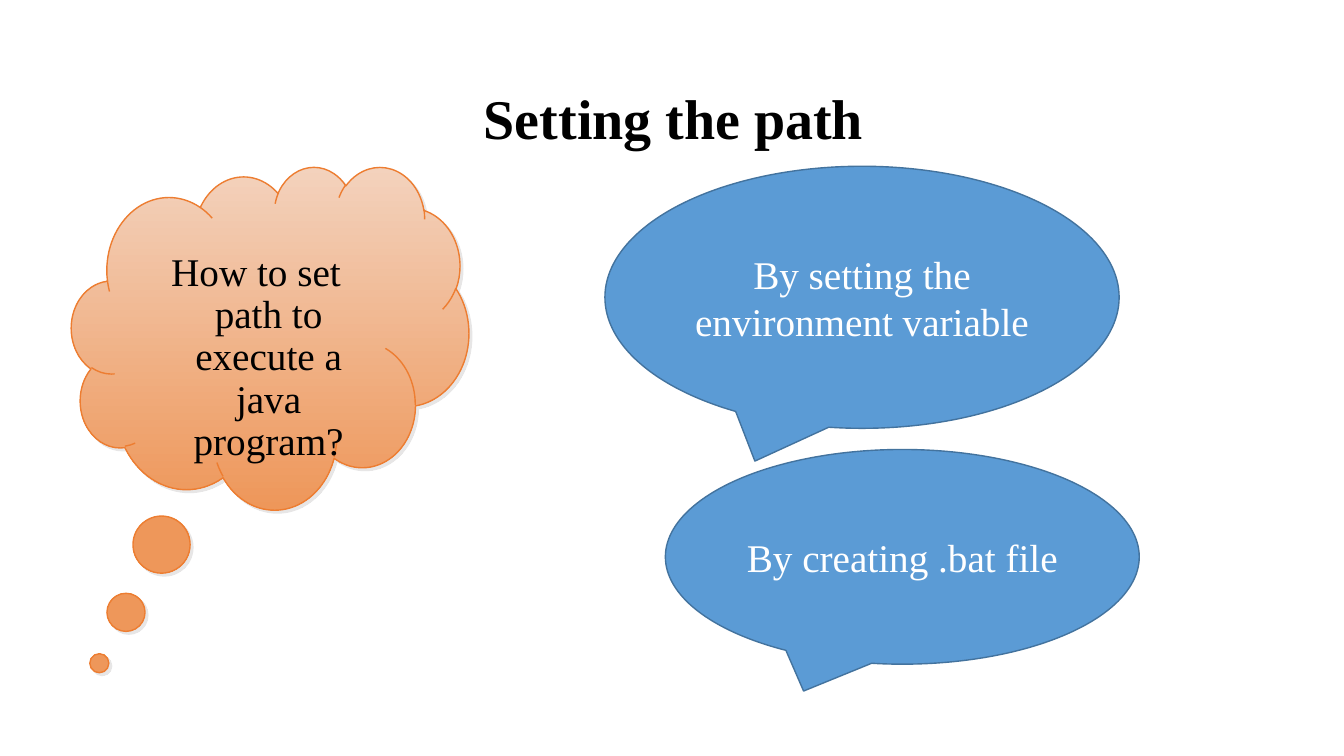
from lxml import etree
from pptx import Presentation
from pptx.dml.color import RGBColor
from pptx.enum.shapes import MSO_SHAPE
from pptx.enum.text import MSO_ANCHOR, PP_ALIGN
from pptx.oxml.ns import qn
from pptx.util import Inches, Pt

CLOUD = MSO_SHAPE.CLOUD_CALLOUT
SPEECH = MSO_SHAPE.OVAL_CALLOUT
TOP, MIDDLE = MSO_ANCHOR.TOP, MSO_ANCHOR.MIDDLE
CENTER = PP_ALIGN.CENTER
FONT = "Times New Roman"
COLORS = {
    "black": "000000",
    "white": "FFFFFF",
    "blue": "5B9BD5",
    "blue_edge": "43739E",
    "orange": "ED7D31",
    "cloud_top": "F3D2BD",
    "cloud_bottom": "EE975A",
    "shadow": "E7E6E6",
}


def color(name):
    """Return the named palette colour."""
    return RGBColor.from_string(COLORS[name])


def write(shape, text, size=28, ink="black", bold=False, anchor=MIDDLE, line_spacing=None):
    """Write centred, wrapped text in a shape and return its paragraph."""
    frame = shape.text_frame
    frame.word_wrap = True
    frame.vertical_anchor = anchor
    paragraph = frame.paragraphs[0]
    paragraph.alignment = CENTER
    paragraph.line_spacing = line_spacing
    run = paragraph.add_run()
    run.text = text
    run.font.name = FONT
    run.font.size = Pt(size)
    run.font.bold = bold
    run.font.color.rgb = color(ink)
    return paragraph


def add_callout(slide, kind, box, edge):
    """Add an outlined callout without a theme shadow."""
    callout = slide.shapes.add_shape(kind, *map(Inches, box))
    callout.shadow.inherit = False
    callout.line.color.rgb = color(edge)
    callout.line.width = Pt(1)
    return callout


def add_drop_shadow(shape):
    """Give the shape a hard shadow to the lower right."""
    effects = shape.element.spPr.find(qn("a:effectLst"))
    shadow = etree.SubElement(effects, qn("a:outerShdw"), dist=str(Pt(2.8)),
                              dir="2700000", algn="ctr", rotWithShape="0")
    etree.SubElement(shadow, qn("a:srgbClr"), val=COLORS["shadow"])


def add_title(slide, box, text):
    """Add the slide title."""
    title = slide.shapes.add_textbox(*map(Inches, box))
    write(title, text, size=40, bold=True, anchor=TOP)


def add_question(slide, box, text):
    """Add the question in a shaded thought cloud."""
    cloud = add_callout(slide, CLOUD, box, "orange")
    cloud.adjustments[0], cloud.adjustments[1] = -0.43, 0.95
    cloud.fill.gradient()
    cloud.fill.gradient_angle = 270
    for stop, shade in zip(cloud.fill.gradient_stops, ("cloud_top", "cloud_bottom")):
        stop.color.rgb = color(shade)
    add_drop_shadow(cloud)
    cloud.text_frame.margin_top = Inches(0.34)
    paragraph = write(cloud, text, anchor=TOP, line_spacing=0.9)
    properties = paragraph._p.get_or_add_pPr()
    properties.set("marL", str(Inches(0.25)))
    properties.set("indent", str(Inches(-0.25)))


def add_answer(slide, box, text):
    """Add one answer in a blue speech bubble."""
    bubble = add_callout(slide, SPEECH, box, "blue_edge")
    bubble.fill.solid()
    bubble.fill.fore_color.rgb = color("blue")
    write(bubble, text, ink="white")


def main():
    """Build and save the slide."""
    deck = Presentation()
    deck.slide_width, deck.slide_height = Inches(13.33), Inches(7.5)
    slide = deck.slides.add_slide(deck.slide_layouts[6])
    add_question(slide, (0.71, 1.65, 3.94, 3.4), "How to set path to execute a java program?")
    add_answer(slide, (6, 1.65, 5.1, 2.6), "By setting the environment variable")
    add_answer(slide, (6.6, 4.46, 4.7, 2.13), "By creating .bat file")
    add_title(slide, (0.68, 0.78, 12, 0.77), "Setting the path")
    deck.save("out.pptx")


if __name__ == "__main__":
    main()
